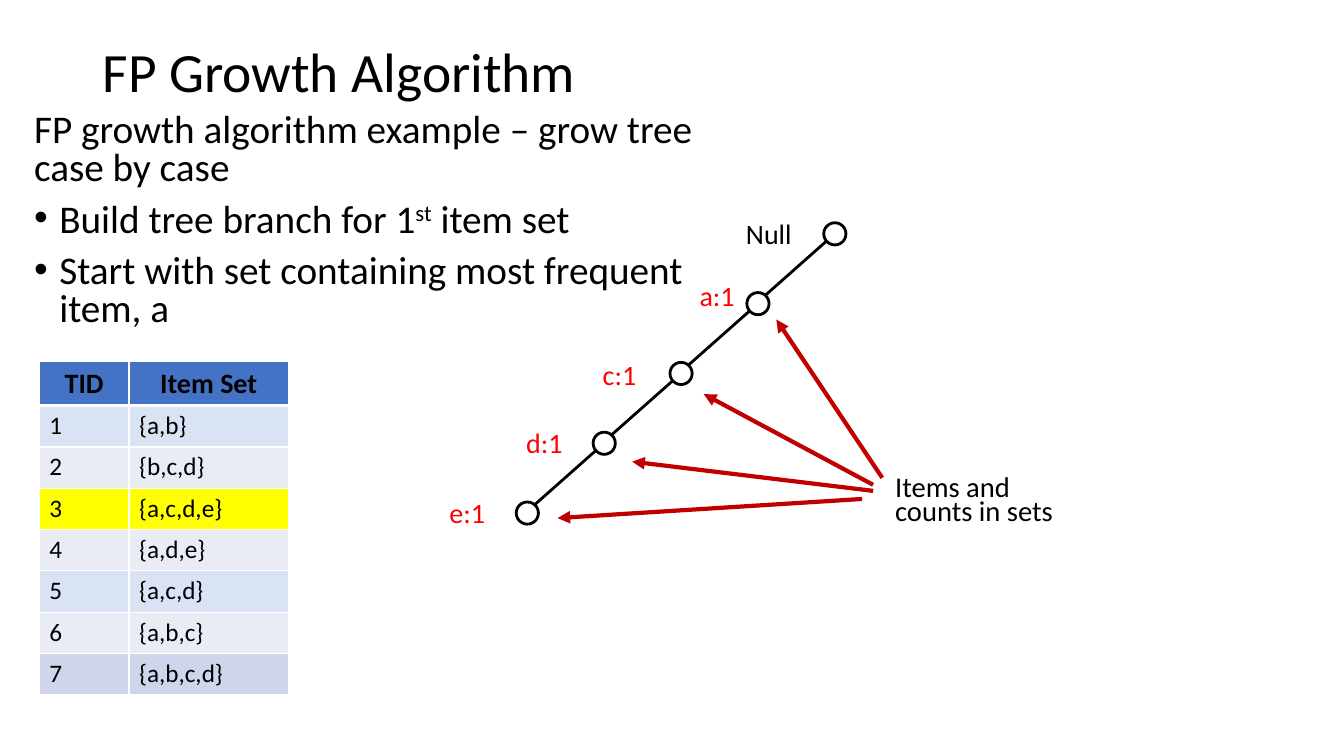
import pptx
import pptx.util
import pptx.dml.color
import pptx.enum.shapes
import pptx.enum.text
import pptx.oxml.ns
import lxml.etree

WIDTH, HEIGHT = 13.33, 7.5
BLACK, RED, DARK_RED, WHITE = "000000", "FF0000", "C00000", "FFFFFF"
TITLE = "FP Growth Algorithm"
INTRO = "FP growth algorithm example – grow tree case by case"
BULLETS = [
    [("Build tree branch for 1", False), ("st", True), (" item set", False)],
    [("Start with set containing most frequent item, a", False)],
]
HEADINGS = ("TID", "Item Set")
ITEM_SETS = ["{a,b}", "{b,c,d}", "{a,c,d,e}", "{a,d,e}", "{a,c,d}", "{a,b,c}", "{a,b,c,d}"]
ROW_FILLS = ["4472C4", "DAE3F3", "E9EBF5", "FFFF00", "E9EBF5", "DAE3F3", "E9EBF5", "CFD5EA"]
COLUMN_WIDTHS = (0.89, 1.58)
ROW_HEIGHT = 0.41
NODE_LABELS = [
    ("Null", BLACK, 7.3, 2.1, 0.71),
    ("a:1", RED, 6.84, 2.71, 0.74),
    ("c:1", RED, 5.88, 3.5, 0.6),
    ("d:1", RED, 5.12, 4.17, 0.6),
    ("e:1", RED, 4.36, 4.87, 0.6),
]
FIRST_NODE, LAST_NODE, NODE_SIZE = (8.17, 2.21), (5.12, 4.98), 0.22
NEAR, FAR = 0.03, 0.18
NOTE = "Items and counts in sets"
ARROWS = [
    ((8.75, 4.74), (7.7, 3.17)),
    ((8.66, 4.81), (6.98, 3.91)),
    ((8.66, 4.87), (6.27, 4.58)),
    ((8.55, 4.95), (5.53, 5.14)),
]


def inches(*lengths):
    return [pptx.util.Inches(length) for length in lengths]


def color(value):
    return pptx.dml.color.RGBColor.from_string(value)


def add_xml(parent, tag, **attributes):
    child = lxml.etree.SubElement(parent, pptx.oxml.ns.qn(tag))
    for name, value in attributes.items():
        child.set(name, str(value))
    return child


def write(para, text, size=20, hue=BLACK, bold=False, raised=False, spacing=None, before=None, align=None):
    span = para.add_run()
    span.text = text
    span.font.name = "Calibri"
    span.font.size = pptx.util.Pt(size)
    span.font.color.rgb = color(hue)
    span.font.bold = bold
    if raised:
        span._r.get_or_add_rPr().set("baseline", "30000")
    if spacing:
        para.line_spacing = spacing
    if before:
        para.space_before = pptx.util.Pt(before)
    if align:
        para.alignment = align


def add_text(page, place, text, anchor=pptx.enum.text.MSO_ANCHOR.TOP, grow=False, **style):
    frame = page.shapes.add_textbox(*inches(*place)).text_frame
    frame.word_wrap = True
    frame.vertical_anchor = anchor
    if grow:
        frame.auto_size = pptx.enum.text.MSO_AUTO_SIZE.SHAPE_TO_FIT_TEXT
    write(frame.paragraphs[0], text, **style)
    return frame


def add_line(page, start, end, hue=BLACK, width=2, arrow=False):
    line = page.shapes.add_connector(pptx.enum.shapes.MSO_CONNECTOR.STRAIGHT, *inches(*start, *end))
    line.line.color.rgb = color(hue)
    line.line.width = pptx.util.Pt(width)
    if arrow:
        add_xml(line.line._get_or_add_ln(), "a:tailEnd", type="triangle")
    add_xml(line._element.spPr, "a:effectLst")


def add_body(page):
    style = dict(size=28, spacing=0.8, before=10)
    frame = add_text(page, (0.24, 1.08, 7.06, 2.42), INTRO, **style)
    for spans in BULLETS:
        para = frame.add_paragraph()
        for text, raised in spans:
            write(para, text, raised=raised, **style)
        properties = para._p.get_or_add_pPr()
        indent = pptx.util.Inches(0.25)
        properties.set("marL", str(indent))
        properties.set("indent", str(-indent))
        add_xml(properties, "a:buFont", typeface="Arial")
        add_xml(properties, "a:buChar", char="•")


def add_border(cell, side, width):
    border = add_xml(cell._tc.get_or_add_tcPr(), "a:ln" + side, w=pptx.util.Pt(width))
    add_xml(add_xml(border, "a:solidFill"), "a:srgbClr", val=WHITE)


def add_item_table(page):
    rows = [HEADINGS] + [(str(number), items) for number, items in enumerate(ITEM_SETS, 1)]
    place = inches(0.39, 3.59, sum(COLUMN_WIDTHS), ROW_HEIGHT * len(rows))
    table = page.shapes.add_table(len(rows), len(HEADINGS), *place).table
    for column, width in zip(table.columns, COLUMN_WIDTHS):
        column.width = pptx.util.Inches(width)
    for r, values in enumerate(rows):
        header = r == 0
        for c, value in enumerate(values):
            cell = table.cell(r, c)
            for side in "LRTB":
                thick = (header and side == "B") or (r == 1 and side == "T")
                add_border(cell, side, 3 if thick else 1)
            cell.fill.solid()
            cell.fill.fore_color.rgb = color(ROW_FILLS[r])
            align = pptx.enum.text.PP_ALIGN.CENTER if header else None
            write(cell.text_frame.paragraphs[0], value, size=20 if header else 18, bold=header, align=align)


def add_tree(page):
    steps = len(NODE_LABELS) - 1
    dx, dy = [(last - first) / steps for first, last in zip(FIRST_NODE, LAST_NODE)]
    for i, (label, hue, left, top, width) in enumerate(NODE_LABELS):
        x, y = FIRST_NODE[0] + i * dx, FIRST_NODE[1] + i * dy
        node = page.shapes.add_shape(pptx.enum.shapes.MSO_SHAPE.OVAL, *inches(x, y, NODE_SIZE, NODE_SIZE))
        node.shadow.inherit = False
        node.fill.background()
        node.line.color.rgb = color(BLACK)
        node.line.width = pptx.util.Pt(2)
        add_text(page, (left, top, width, 0.44), label, hue=hue, grow=True)
        if i < steps:
            add_line(page, (x + NEAR, y + FAR), (x + dx + FAR, y + dy + NEAR))


def main():
    deck = pptx.Presentation()
    deck.slide_width, deck.slide_height = inches(WIDTH, HEIGHT)
    page = deck.slides.add_slide(deck.slide_layouts[6])
    add_text(page, (0.92, 0.4, 11.5, 0.68), TITLE, anchor=pptx.enum.text.MSO_ANCHOR.MIDDLE, size=39.6, spacing=0.9)
    add_body(page)
    add_item_table(page)
    add_tree(page)
    add_text(page, (8.78, 4.7, 2.03, 0.61), NOTE, size=20.4, spacing=0.7, before=10)
    for start, end in ARROWS:
        add_line(page, start, end, hue=DARK_RED, width=3, arrow=True)
    deck.save("out.pptx")


if __name__ == "__main__":
    main()
